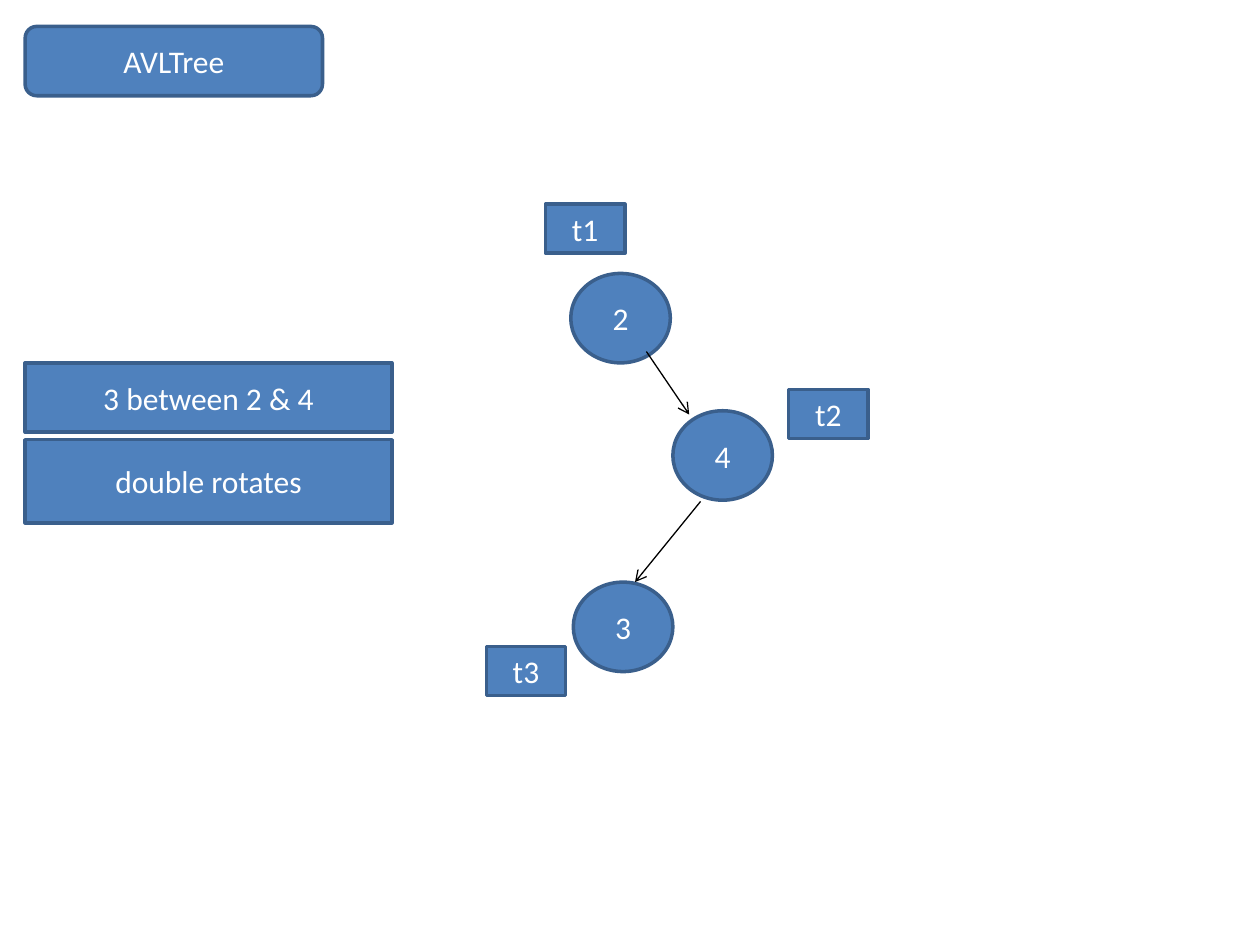
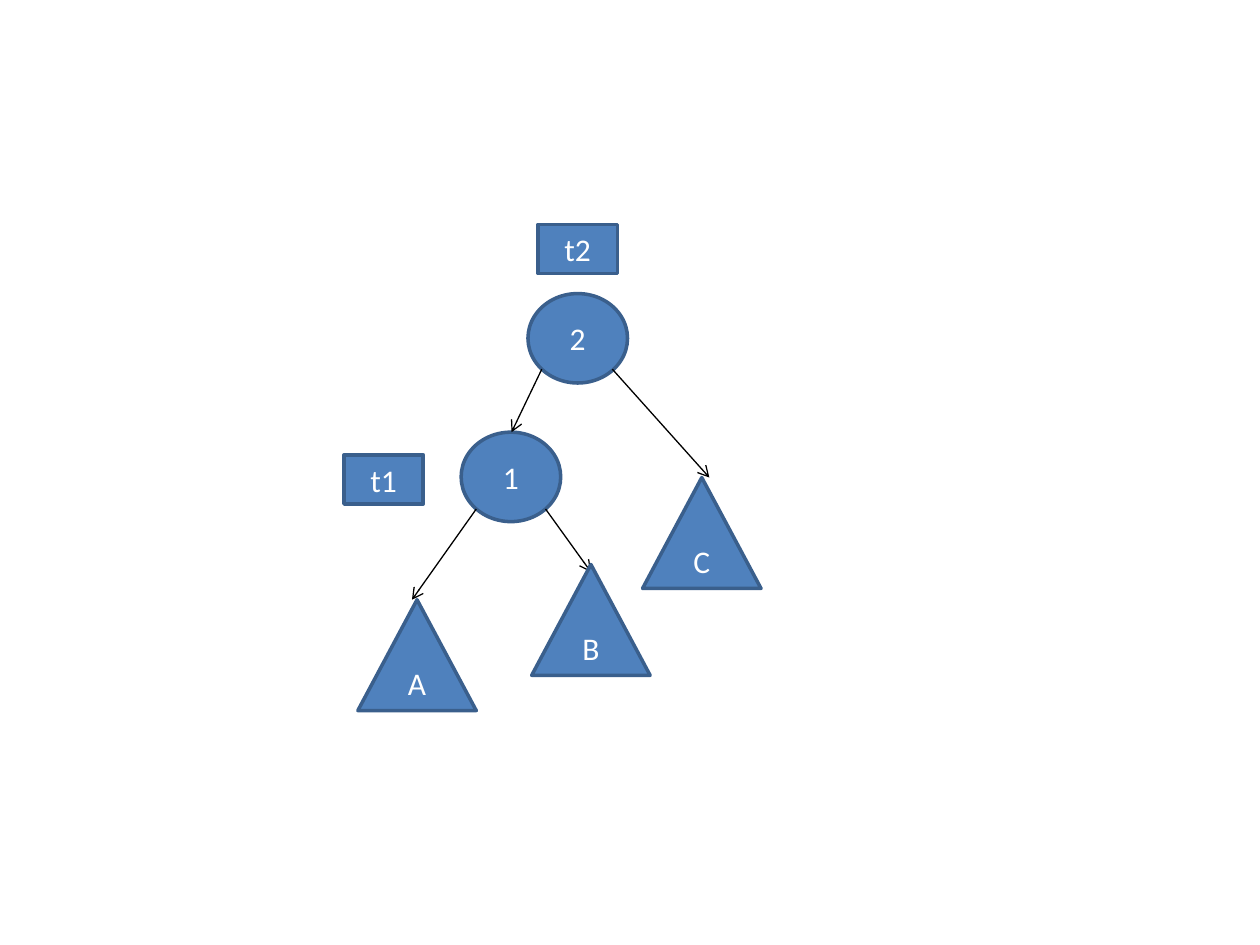
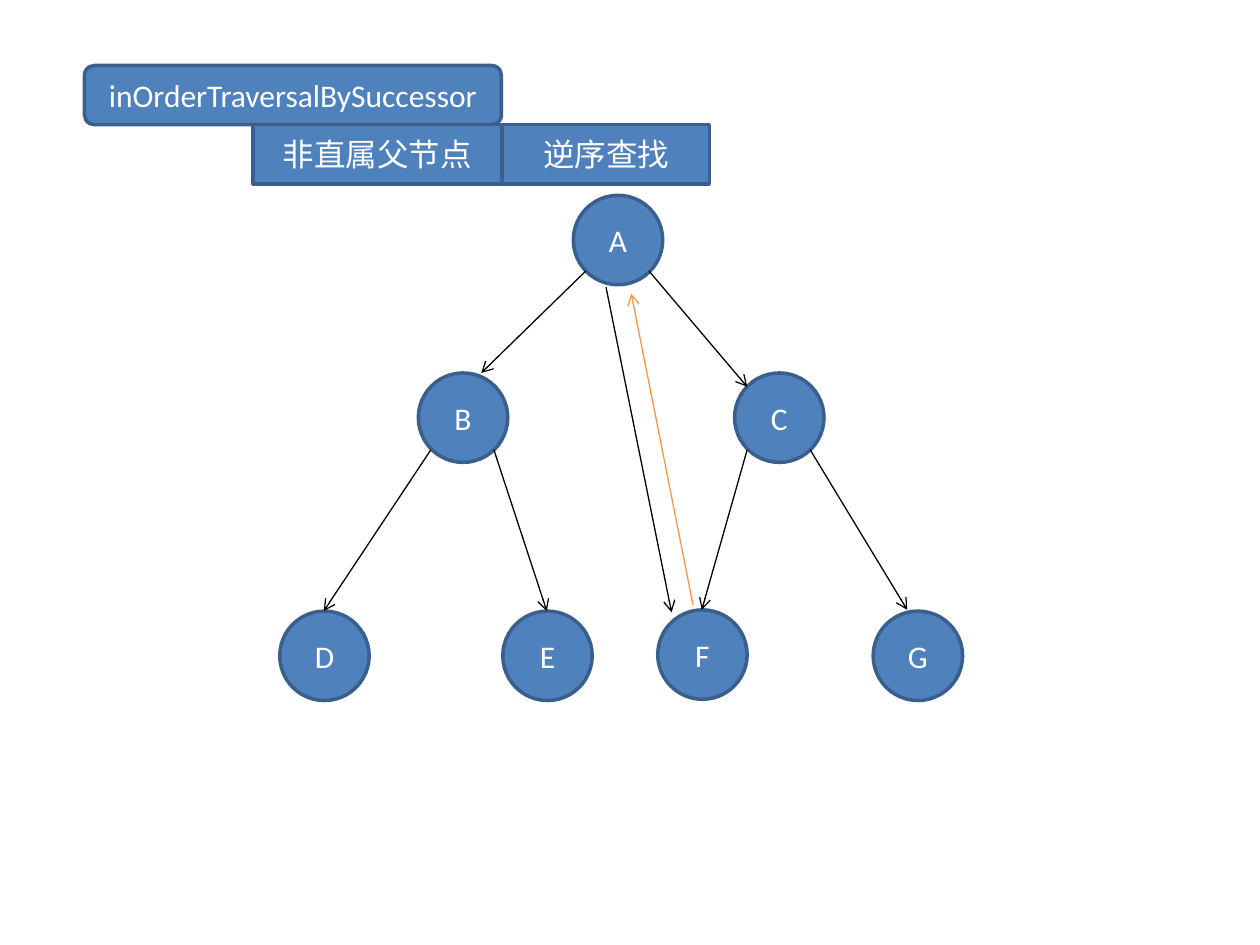
"""Build three slides of tree diagrams: AVL rotations and successor traversal."""
from dataclasses import dataclass

from lxml import etree
from pptx import Presentation
from pptx import util as u
from pptx.dml.color import RGBColor
from pptx.enum import shapes, text
from pptx.oxml import ns

BLUE, EDGE, WHITE, BLACK, ORANGE = "4F81BD", "3A5F8C", "FFFFFF", "000000", "F79646"
KIND = shapes.MSO_SHAPE
FRAME = {
    "vertical_anchor": text.MSO_ANCHOR.MIDDLE,
    "word_wrap": True,
}
FONT = {"name": "Calibri", "size": u.Pt(18)}


@dataclass(frozen=True)
class Box:
    """A filled shape with a centred label."""

    label: str
    left: float
    top: float
    width: float
    height: float
    kind: KIND = KIND.RECTANGLE


@dataclass(frozen=True)
class Arrow:
    """A thin arrow between two points."""

    x: float
    y: float
    to_x: float
    to_y: float
    color: str = BLACK


def node(label: str, left: float, top: float, width: float = 0.79) -> Box:
    """Describe a round tree node."""
    return Box(label, left, top, width, 0.71, KIND.OVAL)


def ring(label: str, left: float, top: float) -> Box:
    """Describe a node that is a true circle."""
    return node(label, left, top, 0.71)


def tag(label: str, left: float, top: float) -> Box:
    """Describe a small variable tag."""
    return Box(label, left, top, 0.63, 0.39)


def sub(label: str, left: float, top: float) -> Box:
    """Describe a triangle that stands for a subtree."""
    return Box(label, left, top, 0.94, 0.88, KIND.ISOSCELES_TRIANGLE)


def head(label: str, left: float, top: float, width: float, height: float) -> Box:
    """Describe a rounded heading."""
    return Box(label, left, top, width, height, KIND.ROUNDED_RECTANGLE)


ROTATE = [
    head("AVLTree", 0.2, 0.21, 2.36, 0.55),
    node("3", 4.55, 4.62),
    node("2", 4.53, 2.17),
    Arrow(5.13, 2.79, 5.47, 3.29),
    node("4", 5.34, 3.26),
    Arrow(5.56, 3.98, 5.04, 4.62),
    tag("t1", 4.33, 1.62),
    tag("t2", 6.26, 3.09),
    tag("t3", 3.86, 5.13),
    Box("3 between 2 & 4", 0.2, 2.88, 2.91, 0.55),
    Box("double rotates", 0.2, 3.49, 2.91, 0.66),
]

SUBTREES = [
    node("1", 3.66, 3.43),
    Arrow(4.33, 4.04, 4.69, 4.54),
    node("2", 4.19, 2.33),
    Arrow(4.86, 2.93, 5.63, 3.79),
    tag("t1", 2.73, 3.61),
    tag("t2", 4.27, 1.78),
    Arrow(4.3, 2.93, 4.06, 3.43),
    Arrow(3.78, 4.04, 3.27, 4.76),
    sub("A", 2.84, 4.76),
    sub("B", 4.22, 4.48),
    sub("C", 5.1, 3.79),
]

ORDER = [
    head("inOrderTraversalBySuccessor", 0.67, 0.52, 3.31, 0.47),
    ring("A", 4.55, 1.55),
    ring("B", 3.32, 2.96),
    ring("C", 5.83, 2.96),
    ring("D", 2.22, 4.85),
    ring("E", 3.99, 4.85),
    ring("F", 5.22, 4.84),
    ring("G", 6.93, 4.85),
    Arrow(4.65, 2.15, 3.82, 2.96),
    Arrow(5.15, 2.15, 5.93, 3.07),
    Arrow(3.42, 3.57, 2.57, 4.85),
    Arrow(3.92, 3.57, 4.34, 4.85),
    Arrow(5.93, 3.57, 5.57, 4.84),
    Arrow(6.43, 3.57, 7.2, 4.84),
    Arrow(5.5, 4.8, 5.01, 2.33, ORANGE),
    Box("非直属父节点", 2.01, 0.99, 1.97, 0.47),
    Box("逆序查找", 3.99, 0.99, 1.64, 0.47),
    Arrow(4.81, 2.28, 5.33, 4.86),
]


def paint(fill, color: str) -> None:
    """Give a fill one solid colour."""
    fill.solid()
    fill.fore_color.rgb = RGBColor.from_string(color)


def style(item, values: dict) -> None:
    """Set each attribute named in a dict of format values."""
    for name, value in values.items():
        setattr(item, name, value)


def draw_box(slide, box: Box) -> None:
    """Draw a filled shape and its label."""
    place = map(u.Inches, (box.left, box.top, box.width, box.height))
    shape = slide.shapes.add_shape(box.kind, *place)
    shape.shadow.inherit = False
    paint(shape.fill, BLUE)
    paint(shape.line.fill, EDGE)
    shape.line.width = u.Pt(2)
    style(shape.text_frame, FRAME)
    para = shape.text_frame.paragraphs[0]
    para.alignment = text.PP_ALIGN.CENTER
    run = para.add_run()
    run.text = box.label
    style(run.font, FONT)
    paint(run.font.fill, WHITE)


def draw_arrow(slide, arrow: Arrow) -> None:
    """Draw a straight connector with an open head at its end."""
    ends = map(u.Inches, (arrow.x, arrow.y, arrow.to_x, arrow.to_y))
    link = slide.shapes.add_connector(shapes.MSO_CONNECTOR.STRAIGHT, *ends)
    paint(link.line.fill, arrow.color)
    link.line.width = u.Pt(0.75)
    props = link.line.fill and link._element.spPr
    etree.SubElement(props.find(ns.qn("a:ln")), ns.qn("a:tailEnd"), type="arrow")
    etree.SubElement(props, ns.qn("a:effectLst"))


def main() -> None:
    """Build and save the deck."""
    deck = Presentation()
    style(deck, {"slide_width": u.Inches(10), "slide_height": u.Inches(7.5)})
    blank = deck.slide_layouts[6]
    for parts in (ROTATE, SUBTREES, ORDER):
        slide = deck.slides.add_slide(blank)
        paint(slide.background.fill, WHITE)
        for part in parts:
            draw = draw_box if isinstance(part, Box) else draw_arrow
            draw(slide, part)
    deck.save("out.pptx")


if __name__ == "__main__":
    main()
